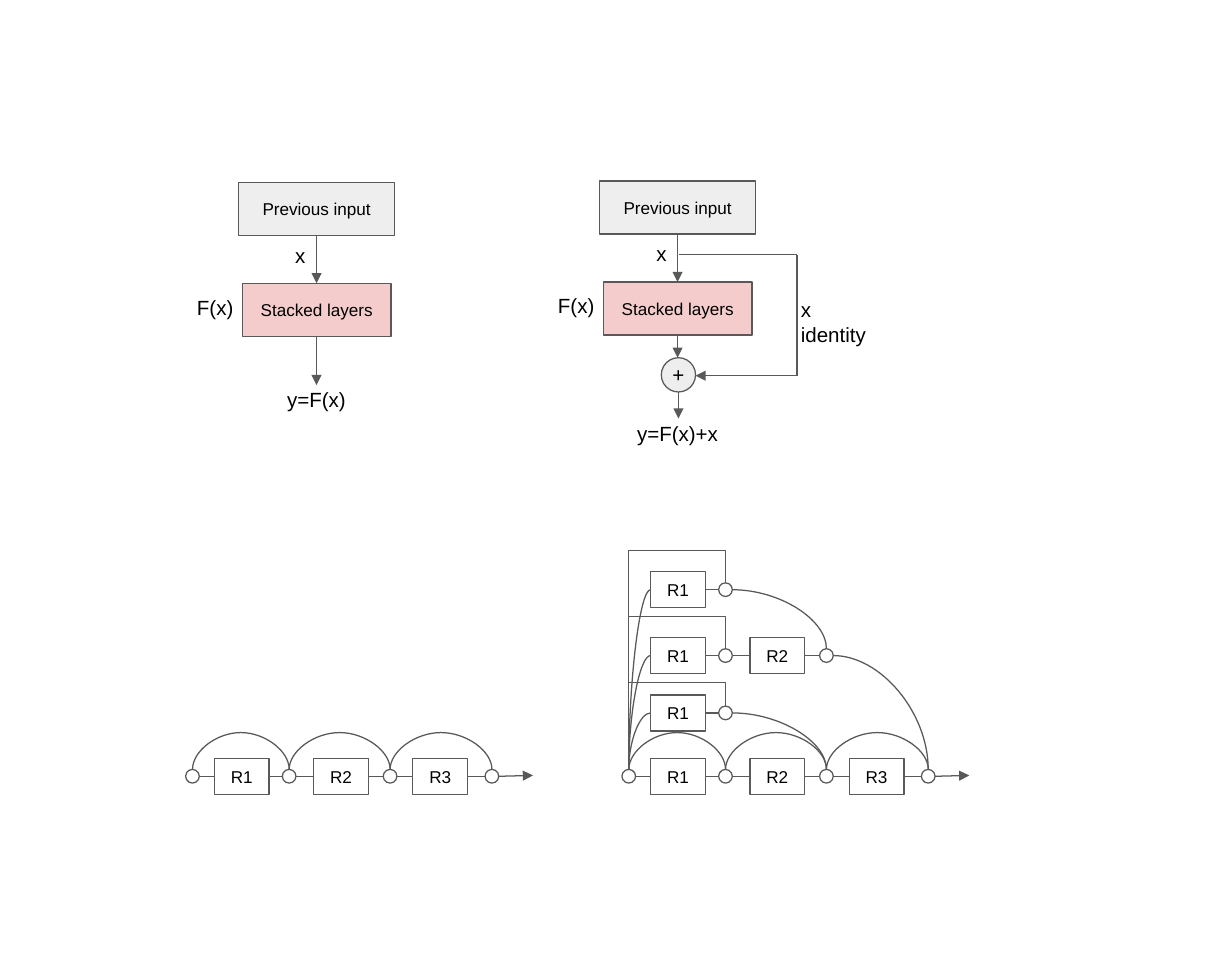
from lxml import etree
from pptx import Presentation
from pptx.dml.color import RGBColor
from pptx.enum.shapes import MSO_CONNECTOR, MSO_SHAPE
from pptx.enum.text import MSO_ANCHOR, PP_ALIGN
from pptx.oxml.ns import qn
from pptx.util import Pt

STRAIGHT, ELBOW, CURVE = MSO_CONNECTOR.STRAIGHT, MSO_CONNECTOR.ELBOW, MSO_CONNECTOR.CURVE
RECTANGLE, OVAL = MSO_SHAPE.RECTANGLE, MSO_SHAPE.OVAL
LEFT, CENTER = PP_ALIGN.LEFT, PP_ALIGN.CENTER
TOP, MIDDLE = MSO_ANCHOR.TOP, MSO_ANCHOR.MIDDLE

WHITE = RGBColor(0xFF, 0xFF, 0xFF)
BLACK = RGBColor(0x00, 0x00, 0x00)
GRAY = RGBColor(0x59, 0x59, 0x59)
PALE = RGBColor(0xEE, 0xEE, 0xEE)
PINK = RGBColor(0xF4, 0xCC, 0xCC)

RING = 8
RESIDUAL_WIDTH, RESIDUAL_HEIGHT = 32, 21
RING_OFFSETS = (0, 56.5, 115.5, 175)
RESIDUAL_OFFSETS = (12.75, 70.75, 128.75)
CHAIN_Y = 453.5
CHAIN_TOP = CHAIN_Y - RING / 2
UNROLLED_X = 367.5


class Diagram:
    font = "Arial"
    line_width = 0.75
    inset = 7.2

    def __init__(self, page):
        self.page = page

    def set_text(self, shape, text, size, align, anchor):
        frame = shape.text_frame
        frame.word_wrap = True
        frame.vertical_anchor = anchor
        frame.margin_left = frame.margin_right = Pt(self.inset)
        frame.margin_top = frame.margin_bottom = Pt(self.inset)
        frame.text = text
        for para in frame.paragraphs:
            para.alignment = align
            for span in para.runs:
                span.font.name = self.font
                span.font.size = Pt(size)
                span.font.color.rgb = BLACK

    def shape(self, kind, left, top, width, height, fill):
        shape = self.page.shapes.add_shape(kind, Pt(left), Pt(top), Pt(width), Pt(height))
        shape.shadow.inherit = False
        shape.fill.solid()
        shape.fill.fore_color.rgb = fill
        shape.line.color.rgb = GRAY
        shape.line.width = Pt(self.line_width)
        return shape

    def box(self, left, middle, width, height, fill, text):
        box = self.shape(RECTANGLE, left, middle - height / 2, width, height, fill)
        self.set_text(box, text, 10, CENTER, MIDDLE)

    def residual(self, left, middle, text):
        self.box(left, middle, RESIDUAL_WIDTH, RESIDUAL_HEIGHT, WHITE, text)

    def ring(self, x, y, size=RING, fill=WHITE):
        self.shape(OVAL, x - size / 2, y - size / 2, size, size, fill)

    def label(self, left, top, width, height, text, align=LEFT):
        box = self.page.shapes.add_textbox(Pt(left), Pt(top), Pt(width), Pt(height))
        self.set_text(box, text, 12, align, TOP)

    def line(self, x1, y1, x2, y2, arrow=False, kind=STRAIGHT):
        line = self.page.shapes.add_connector(kind, Pt(x1), Pt(y1), Pt(x2), Pt(y2))
        line.line.color.rgb = GRAY
        line.line.width = Pt(self.line_width)
        properties = line._element.spPr
        if arrow:
            outline = properties.find(qn("a:ln"))
            etree.SubElement(outline, qn("a:tailEnd"), type="triangle")
        etree.SubElement(properties, qn("a:effectLst"))
        return line

    def quarter(self, x1, y1, x2, y2):
        curve = self.line(x1, y1, x2, y2, kind=CURVE)
        curve._element.spPr.find(qn("a:prstGeom")).set("prst", "curvedConnector2")

    def bridge(self, kind, x1, y1, x2, y2, peak):
        x, y = (x1 + x2) / 2, (y1 + y2) / 2
        across, rise = (x2 - x1) / 2, (y1 - y2) / 2
        bridge = self.line(x - rise, y - across, x + rise, y + across, kind=kind)
        properties = bridge._element.spPr
        properties.find(qn("a:xfrm")).set("rot", "16200000")
        guides = properties.find(qn("a:prstGeom")).find(qn("a:avLst"))
        bend = round((y1 - peak) / (y1 - y2) * 100000)
        etree.SubElement(guides, qn("a:gd"), name="adj1", fmla=f"val {bend}")

    def chain(self, start):
        rings = [start + offset for offset in RING_OFFSETS]
        for x in rings:
            self.ring(x, CHAIN_Y)
        for number, offset in enumerate(RESIDUAL_OFFSETS):
            before, after, left = rings[number], rings[number + 1], start + offset
            self.residual(left, CHAIN_Y, f"R{number + 1}")
            self.line(before + RING / 2, CHAIN_Y, left, CHAIN_Y)
            self.line(left + RESIDUAL_WIDTH, CHAIN_Y, after - RING / 2, CHAIN_Y)
            self.bridge(CURVE, before, CHAIN_TOP, after, CHAIN_TOP - 0.05, 430.5)
        end = rings[-1] + RING / 2
        self.line(end, CHAIN_Y, end + 20, CHAIN_Y - 0.5, arrow=True)

    def branch(self, start, y, peak):
        left, ring = start + RESIDUAL_OFFSETS[0], start + RING_OFFSETS[1]
        self.residual(left, y, "R1")
        self.ring(ring, y)
        self.line(left + RESIDUAL_WIDTH, y, ring - RING / 2, y)
        self.bridge(ELBOW, start, CHAIN_TOP, ring, y - RING / 2, peak)
        self.quarter(left, y, start, CHAIN_TOP)

    def block(self, x, top, output, output_top):
        self.box(x - 45.75, top + 15.5, 91.5, 31, PALE, "Previous input")
        self.box(x - 43.5, top + 74.5, 87, 31, PINK, "Stacked layers")
        self.line(x, top + 31, x, top + 59, arrow=True)
        self.label(x - 19.5, top + 28, 16.5, 39, "x")
        self.label(x - 77, top + 58.5, 70.5, 31, "F(x)")
        self.label(x - 35.25, output_top, 70.5, 31, output, CENTER)


def main():
    deck = Presentation()
    deck.slide_width, deck.slide_height = Pt(720), Pt(566.64)
    diagram = Diagram(deck.slides.add_slide(deck.slide_layouts[6]))

    diagram.chain(112.5)
    diagram.chain(UNROLLED_X)
    low, middle, high = 416.5, 383, 344.5
    for y, peak in ((low, 398.5), (middle, 360.25), (high, 321.75)):
        diagram.branch(UNROLLED_X, y, peak)
    first, second, third = [UNROLLED_X + offset for offset in RING_OFFSETS[1:]]
    left = UNROLLED_X + RESIDUAL_OFFSETS[1]
    diagram.residual(left, middle, "R2")
    diagram.ring(second, middle)
    diagram.line(first + RING / 2, middle, left, middle)
    diagram.line(left + RESIDUAL_WIDTH, middle, second - RING / 2, middle)
    diagram.quarter(first + RING / 2, low, second, CHAIN_TOP)
    diagram.quarter(first + RING / 2, high, second, middle - RING / 2)
    diagram.quarter(second + RING / 2, middle, third, CHAIN_TOP)

    diagram.block(185, 106.5, "y=F(x)", 219)
    diagram.line(185, 196.5, 185, 225, arrow=True)

    diagram.block(396, 105.75, "y=F(x)+x", 238.5)
    diagram.line(396, 196, 396, 209, arrow=True)
    diagram.ring(396.5, 219, 20, PALE)
    diagram.line(397, 148.75, 465.75, 148.75)
    diagram.line(465.75, 148.75, 465.75, 219.5)
    diagram.line(465.75, 219.5, 406.5, 219.5, arrow=True)
    diagram.label(461, 166.5, 152, 39, "x\nidentity")
    diagram.line(396.5, 229, 396.5, 244.5, arrow=True)
    diagram.label(374, 204.5, 45, 20, "+", CENTER)

    deck.save("out.pptx")


if __name__ == "__main__":
    main()
